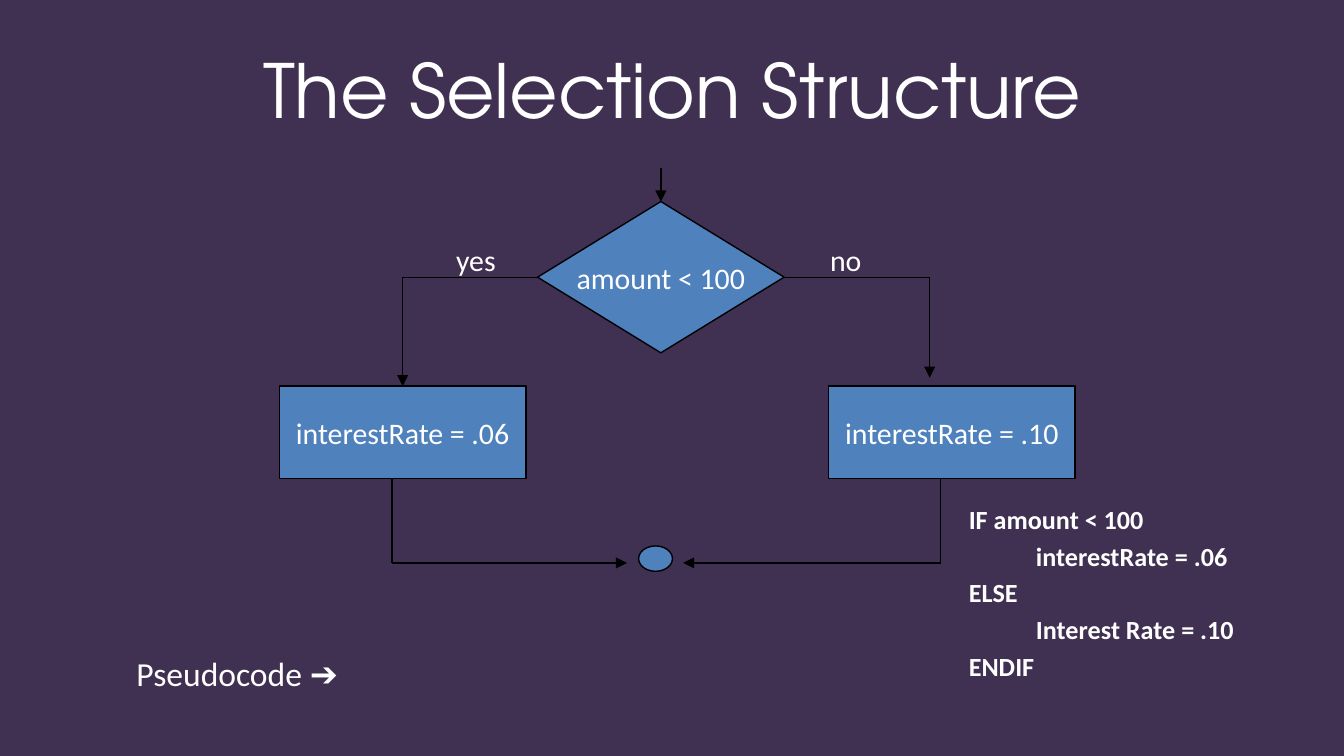
import dataclasses

import lxml.etree
import pptx
import pptx.dml.color
import pptx.enum.shapes
import pptx.enum.text
import pptx.oxml.ns
import pptx.util

Cm = pptx.util.Cm
Pt = pptx.util.Pt
SHAPES = pptx.enum.shapes.MSO_SHAPE
ALIGN = pptx.enum.text.PP_ALIGN
ANCHOR = pptx.enum.text.MSO_ANCHOR
TOP, LEFT, BOTTOM, RIGHT = range(4)


def rgb(value):
    return pptx.dml.color.RGBColor.from_string(value)


@dataclasses.dataclass(frozen=True)
class Theme:
    background = rgb("403152")
    fill = rgb("4F81BD")
    line = rgb("000000")
    text = rgb("FFFFFF")
    title_font = "TeX Gyre Adventor"
    body_font = "Calibri"
    title_size = Pt(40)
    caption_size = Pt(18)
    label_size = Pt(16)
    code_size = Pt(14)
    line_width = Pt(0.75)


THEME = Theme()


def add_span(para, text, size, font=THEME.body_font, bold=None):
    span = para.add_run()
    span.text = text
    span.font.name = font
    span.font.size = size
    span.font.bold = bold
    span.font.color.rgb = THEME.text


def add_label(page, text, left, top, width, height, size=THEME.label_size,
              font=THEME.body_font, align=ALIGN.CENTER, anchor=ANCHOR.TOP):
    box = page.shapes.add_textbox(Cm(left), Cm(top), Cm(width), Cm(height))
    box.text_frame.word_wrap = True
    box.text_frame.vertical_anchor = anchor
    para = box.text_frame.paragraphs[0]
    para.alignment = align
    add_span(para, text, size, font)


def add_code(page, lines, left, top, width, height):
    """Add bold code lines, each given as (level, text)."""
    box = page.shapes.add_textbox(Cm(left), Cm(top), Cm(width), Cm(height))
    frame = box.text_frame
    frame.word_wrap = True
    for index, (level, text) in enumerate(lines):
        para = frame.add_paragraph() if index else frame.paragraphs[0]
        para.level = level
        para.line_spacing = 0.75
        if index:
            para.space_before = THEME.code_size // 2
        if level:
            para._p.get_or_add_pPr().set("marL", str(Cm(1.27 * level)))
        add_span(para, text, THEME.code_size, bold=True)


def add_node(page, kind, left, top, width, height, text=None):
    node = page.shapes.add_shape(kind, Cm(left), Cm(top), Cm(width), Cm(height))
    node.shadow.inherit = False
    node.fill.solid()
    node.fill.fore_color.rgb = THEME.fill
    node.line.color.rgb = THEME.line
    node.line.width = THEME.line_width
    if text:
        node.text_frame.word_wrap = False
        node.text_frame.vertical_anchor = ANCHOR.MIDDLE
        para = node.text_frame.paragraphs[0]
        para.alignment = ALIGN.CENTER
        add_span(para, text, THEME.label_size)
    return node


def add_line(page, start, end, arrow=False, begin=None, finish=None):
    """Draw a line; begin and finish are optional (node, site) joints."""
    line = page.shapes.add_connector(
        pptx.enum.shapes.MSO_CONNECTOR.STRAIGHT,
        *(Cm(value) for value in (*start, *end)))
    line.line.color.rgb = THEME.line
    line.line.width = THEME.line_width
    qn = pptx.oxml.ns.qn
    properties = line._element.spPr
    if arrow:
        lxml.etree.SubElement(properties.find(qn("a:ln")), qn("a:tailEnd"), type="triangle")
    lxml.etree.SubElement(properties, qn("a:effectLst"))
    if begin:
        line.begin_connect(*begin)
    if finish:
        line.end_connect(*finish)


def add_flowchart(page):
    node_width, step_top, step_height = 4.66, 7.3, 1.75
    test_left, test_top, test_height = 10.16, 3.81, 2.86
    yes_left, no_left = 5.28, 15.66
    test_x = test_left + node_width / 2
    test_y = test_top + test_height / 2
    test_right = test_left + node_width
    yes_x, no_x = yes_left + node_width / 2, 17.57
    step_bottom, merge_y = step_top + step_height, 10.64

    # Nodes
    test = add_node(page, SHAPES.FLOWCHART_DECISION, test_left, test_top,
                    node_width, test_height, "amount < 100")
    yes_step, _ = [
        add_node(page, SHAPES.FLOWCHART_PROCESS, left, step_top,
                 node_width, step_height, text)
        for left, text in ((yes_left, "interestRate = .06"),
                           (no_left, "interestRate = .10"))]
    add_node(page, SHAPES.FLOWCHART_CONNECTOR, 12.07, 10.32, 0.64, 0.48)

    # Entry and branches
    add_line(page, (test_x, 3.18), (test_x, test_top), True, finish=(test, TOP))
    add_line(page, (test_left, test_y), (yes_x, test_y), begin=(test, LEFT))
    add_line(page, (test_right, test_y), (no_x, test_y), begin=(test, RIGHT))
    add_line(page, (yes_x, test_y), (yes_x, step_top), True, finish=(yes_step, TOP))
    add_line(page, (no_x, test_y), (no_x, 7.14), True)

    # Paths back to the merge point
    for exit_x, merge_x in ((7.41, 11.85), (17.78, 12.91)):
        add_line(page, (exit_x, step_bottom), (exit_x, merge_y))
        add_line(page, (exit_x, merge_y), (merge_x, merge_y), True)

    # Branch labels
    for text, left in (("yes", 7.83), ("no", test_right)):
        add_label(page, text, left, 4.45, 2.33, 0.94)


def main():
    deck = pptx.Presentation()
    deck.slide_width, deck.slide_height = Cm(25.4), Cm(14.29)
    page = deck.slides.add_slide(deck.slide_layouts[6])
    page.background.fill.solid()
    page.background.fill.fore_color.rgb = THEME.background

    # Title
    add_label(page, "The Selection Structure", 1.9, 0.48, 21.6, 2.39,
              THEME.title_size, THEME.title_font, anchor=ANCHOR.MIDDLE)

    add_flowchart(page)

    # Pseudocode
    add_code(page, ((0, "IF amount < 100"),
                    (1, "interestRate = .06"),
                    (0, "ELSE"),
                    (1, "Interest Rate = .10"),
                    (0, "ENDIF")), 18.06, 9.53, 7.34, 3.71)
    add_label(page, "Pseudocode ➔", 2.33, 12.22, 6.35, 1.02,
              THEME.caption_size, align=ALIGN.LEFT)

    deck.save("out.pptx")


if __name__ == "__main__":
    main()
